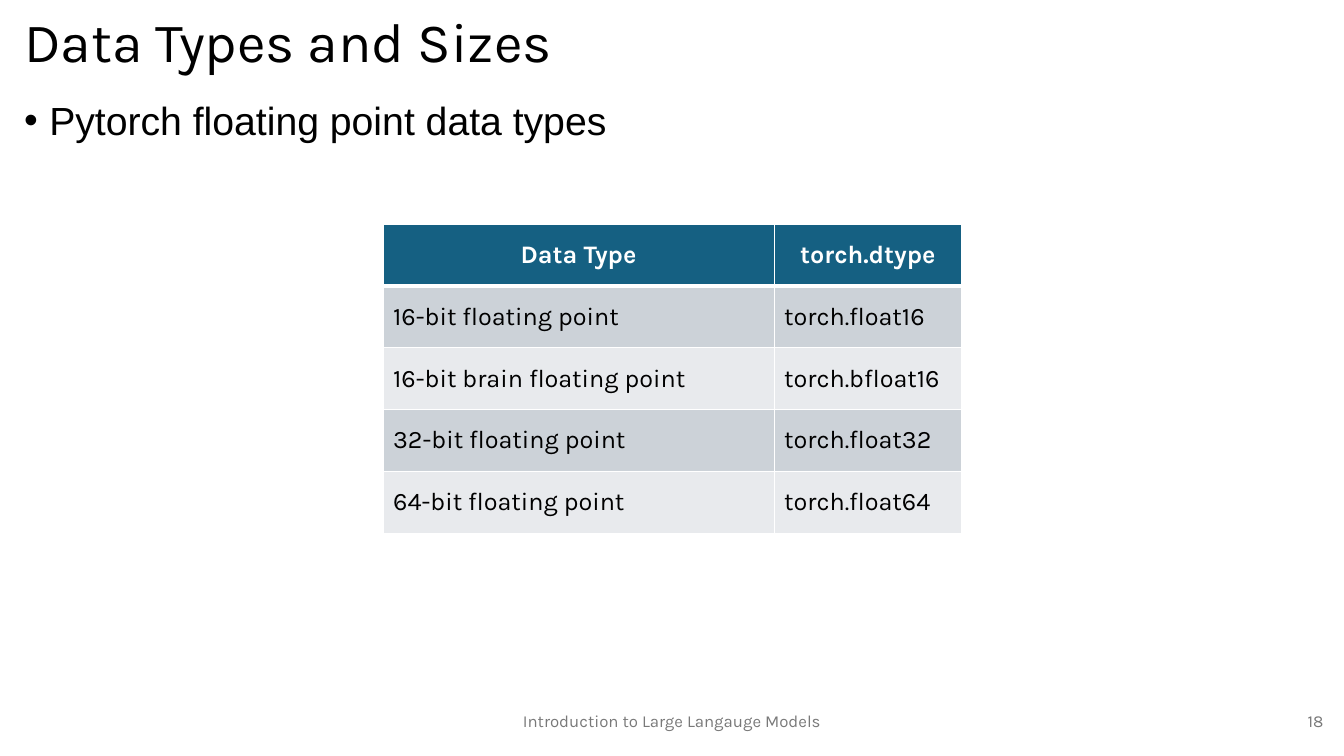
from lxml import etree
from pptx import Presentation
from pptx.dml.color import RGBColor
from pptx.enum import text
from pptx.oxml import ns
from pptx.util import Pt

BLACK = RGBColor(0x00, 0x00, 0x00)
WHITE = RGBColor(0xFF, 0xFF, 0xFF)
GREY = RGBColor(0x79, 0x79, 0x79)
HEADER_FILL = RGBColor(0x15, 0x60, 0x82)
BAND_FILLS = RGBColor(0xCC, 0xD2, 0xD8), RGBColor(0xE8, 0xEA, 0xED)

LEFT, CENTER, RIGHT = text.PP_ALIGN.LEFT, text.PP_ALIGN.CENTER, text.PP_ALIGN.RIGHT
MIDDLE, TOP = text.MSO_ANCHOR.MIDDLE, text.MSO_ANCHOR.TOP

DTYPES = [
    ("Data Type", "torch.dtype"),
    ("16-bit floating point", "torch.float16"),
    ("16-bit brain floating point", "torch.bfloat16"),
    ("32-bit floating point", "torch.float32"),
    ("64-bit floating point", "torch.float64"),
]
COL_WIDTHS = 279.4, 133.9
ROW_HEIGHT = 44.2


def set_attrs(obj, **values):
    for name, value in values.items():
        setattr(obj, name, value)


def write(tf, words, size, color, align=LEFT, font="Karla", bold=False):
    """Put one formatted paragraph in a text frame and return it."""
    p = tf.paragraphs[0]
    p.alignment = align
    r = p.add_run()
    r.text = words
    set_attrs(r.font, name=font, size=Pt(size), bold=bold)
    r.font.color.rgb = color
    return p


def place(sp, left, top, width, height, anchor=MIDDLE):
    set_attrs(sp, left=Pt(left), top=Pt(top), width=Pt(width), height=Pt(height))
    set_attrs(sp.text_frame, word_wrap=True, vertical_anchor=anchor,
              auto_size=text.MSO_AUTO_SIZE.NONE)
    return sp.text_frame


def add_bullet(p, indent):
    pPr = p._p.get_or_add_pPr()
    pPr.set("marL", str(Pt(indent)))
    pPr.set("indent", str(-Pt(indent)))
    etree.SubElement(pPr, ns.qn("a:buFont"), typeface="Arial")
    etree.SubElement(pPr, ns.qn("a:buChar"), char="•")


def add_footer(slide, words, left, width, align):
    sp = slide.shapes.add_textbox(0, 0, 0, 0)
    write(place(sp, left, 500.5, width, 28.8), words, 12, GREY, align)


def set_borders(cell, **widths):
    """Draw white cell borders; sides are L, R, T and B, in that order."""
    tcPr = cell._tc.get_or_add_tcPr()
    for side, width in widths.items():
        ln = etree.SubElement(tcPr, ns.qn(f"a:ln{side}"), w=str(Pt(width)))
        fill = etree.SubElement(ln, ns.qn("a:solidFill"))
        etree.SubElement(fill, ns.qn("a:srgbClr"), val=str(WHITE))


def add_dtype_table(slide, left, top):
    table = slide.shapes.add_table(
        len(DTYPES), len(COL_WIDTHS), Pt(left), Pt(top),
        Pt(sum(COL_WIDTHS)), Pt(ROW_HEIGHT * len(DTYPES))).table
    for column, width in zip(table.columns, COL_WIDTHS):
        column.width = Pt(width)
    for i, entries in enumerate(DTYPES):
        table.rows[i].height = Pt(ROW_HEIGHT)
        header = i == 0
        for j, words in enumerate(entries):
            cell = table.cell(i, j)
            cell.vertical_anchor = MIDDLE
            set_borders(cell, L=1, R=1, T=3 if i == 1 else 1, B=3 if header else 1)
            cell.fill.solid()
            cell.fill.fore_color.rgb = HEADER_FILL if header else BAND_FILLS[(i - 1) % 2]
            write(cell.text_frame, words, 18, WHITE if header else BLACK,
                  CENTER if header else LEFT, bold=header)


def main():
    prs = Presentation()
    set_attrs(prs, slide_width=Pt(960), slide_height=Pt(540))
    slide = prs.slides.add_slide(prs.slide_layouts[1])
    title, body = slide.placeholders

    p = write(place(title, 10, 6.5, 940, 50.4), "Data Types and Sizes", 39.6, BLACK)
    p.line_spacing = 0.9
    p = write(place(body, 10, 69, 940, 431, TOP),
              "Pytorch floating point data types", 28, BLACK, font="Arial")
    set_attrs(p, line_spacing=0.9, space_before=Pt(10))
    add_bullet(p, 18)

    add_footer(slide, "Introduction to Large Langauge Models", 318, 324, CENTER)
    add_footer(slide, "18", 736.5, 216, RIGHT)
    add_dtype_table(slide, 273.6, 160)
    prs.save("out.pptx")


if __name__ == "__main__":
    main()
